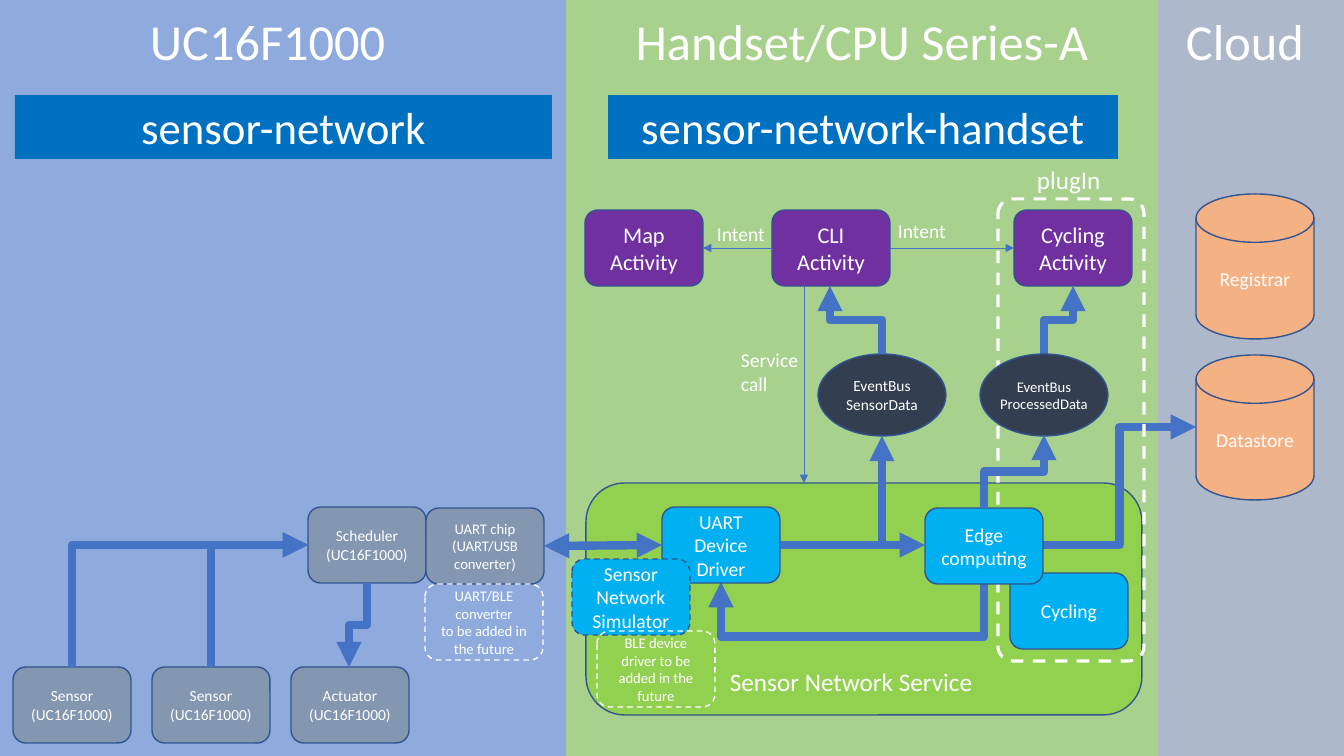
import pptx
import pptx.util
import pptx.dml.color
import pptx.enum.dml
import pptx.enum.shapes
import pptx.enum.text
import pptx.oxml
import pptx.oxml.ns

RGB = pptx.dml.color.RGBColor
WHITE = RGB(0xFF, 0xFF, 0xFF)
BLUE = RGB(0x8F, 0xAA, 0xDC)
GREEN = RGB(0xA9, 0xD1, 0x8E)
GREY = RGB(0xAD, 0xB9, 0xCA)
SLATE = RGB(0x84, 0x97, 0xB0)
LIME = RGB(0x92, 0xD0, 0x50)
SKY = RGB(0x00, 0xB0, 0xF0)
NAVY = RGB(0x33, 0x3F, 0x50)
PLUM = RGB(0x70, 0x30, 0xA0)
PEACH = RGB(0xF4, 0xB1, 0x83)
BAR = RGB(0x00, 0x70, 0xC0)
EDGE = RGB(0x32, 0x54, 0x91)
WIRE = RGB(0x44, 0x72, 0xC4)

FONT = "Calibri"
NODE = (118, 76)
DISK = (118, 145)
BUS = (128, 82)
THICK, THIN = 6, 0.5

KIND = pptx.enum.shapes.MSO_SHAPE
LINK = pptx.enum.shapes.MSO_CONNECTOR
DASH = pptx.enum.dml.MSO_LINE.DASH
ALIGN = pptx.enum.text.PP_ALIGN
ANCHOR = pptx.enum.text.MSO_ANCHOR
FIT = pptx.enum.text.MSO_AUTO_SIZE
qn = pptx.oxml.ns.qn


def emu(px):
    return round(px * 914400 / 100.8)


def add_xml(node, tag, **attrs):
    item = pptx.oxml.parse_xml(f"<a:{tag} {pptx.oxml.ns.nsdecls('a')}/>")
    for key, val in attrs.items():
        item.set(key, val)
    node.append(item)


def write(frame, text, size, align):
    for i, line in enumerate(text.split("\n")):
        para = frame.add_paragraph() if i else frame.paragraphs[0]
        para.alignment = align
        run = para.add_run()
        run.text = line
        run.font.name = FONT
        run.font.size = pptx.util.Pt(size)
        run.font.color.rgb = WHITE


class Pane:
    def __init__(self, slide, left, top, width, height):
        self.slide, self.shapes = slide, slide.shapes
        self.left, self.top = left, top
        self.size = (width, height)

    def place(self, x, y, size):
        return [emu(n) for n in (self.left + x, self.top + y, *size)]

    def shape(self, kind, x, y, size, fill=None, line=EDGE, weight=1,
              dash=False, text="", points=14, inset=None):
        item = self.shapes.add_shape(kind, *self.place(x, y, size))
        item.shadow.inherit = False
        if fill is None:
            item.fill.background()
        else:
            item.fill.solid()
            item.fill.fore_color.rgb = fill
        if line is None:
            item.line.fill.background()
        else:
            item.line.color.rgb = line
            item.line.width = pptx.util.Pt(weight)
            if dash:
                item.line.dash_style = DASH
        if text:
            frame = item.text_frame
            frame.word_wrap = True
            frame.vertical_anchor = ANCHOR.MIDDLE
            if inset is not None:
                frame.margin_left = frame.margin_right = inset
                frame.margin_top = frame.margin_bottom = inset
            write(frame, text, points, ALIGN.CENTER)
        return item

    def back(self, fill):
        self.shape(KIND.RECTANGLE, 0, 0, self.size, fill, None)

    def node(self, x, y, text, fill, points=14, **style):
        self.shape(KIND.ROUNDED_RECTANGLE, x, y, NODE, fill,
                   text=text, points=points, **style)

    def later(self, x, y, text):
        self.node(x, y, text, None, 10.5, line=WHITE, dash=True)

    def label(self, x, y, size, text, points, align=ALIGN.LEFT,
              wrap=True, fill=None):
        box = self.shapes.add_textbox(*self.place(x, y, size))
        if fill is not None:
            box.fill.solid()
            box.fill.fore_color.rgb = fill
        box.text_frame.word_wrap = wrap
        box.text_frame.auto_size = FIT.SHAPE_TO_FIT_TEXT
        write(box.text_frame, text, points, align)

    def bar(self, x, width, text):
        self.label(x, 95, (width, 64), text, 32, ALIGN.CENTER, fill=BAR)

    def title(self, x, y, size, text):
        item = self.shapes.title
        item.left, item.top, item.width, item.height = self.place(x, y, size)
        frame = item.text_frame
        frame.word_wrap = True
        frame.auto_size = FIT.NONE
        frame.vertical_anchor = ANCHOR.TOP
        write(frame, text, 36, ALIGN.CENTER)
        item.element.getparent().append(item.element)

    def link(self, start, end, weight=THICK, bends=0, upright=False,
             ratio=0.5, both=False):
        (x1, y1), (x2, y2) = start, end
        if upright:
            mid_x, mid_y = (x1 + x2) / 2, (y1 + y2) / 2
            half_x, half_y = (x2 - x1) / 2, (y2 - y1) / 2
            x1, y1 = mid_x - half_y, mid_y + half_x
            x2, y2 = mid_x + half_y, mid_y - half_x
        kind = LINK.ELBOW if bends else LINK.STRAIGHT
        ends = self.place(x1, y1, (self.left + x2, self.top + y2))
        wire = self.shapes.add_connector(kind, *ends)
        wire.line.color.rgb = WIRE
        wire.line.width = pptx.util.Pt(weight)
        props = wire.element.spPr
        if upright:
            props.find(qn("a:xfrm")).set("rot", "5400000")
        shape = props.find(qn("a:prstGeom"))
        if bends == 1:
            shape.set("prst", "bentConnector2")
        elif bends == 2:
            add_xml(shape.find(qn("a:avLst")), "gd", name="adj1",
                    fmla=f"val {round(ratio * 100000)}")
        ink = props.find(qn("a:ln"))
        if both:
            add_xml(ink, "headEnd", type="triangle")
        add_xml(ink, "tailEnd", type="triangle")
        add_xml(props, "effectLst")


def draw_chip(pane):
    pane.label(140, 5, (304, 72), "UC16F1000", 36)
    pane.bar(15, 537, "sensor-network")
    for i, name in enumerate(("Sensor", "Sensor", "Actuator")):
        pane.node(13 + 139 * i, 667, name + "\n(UC16F1000)", SLATE, 11)
    pane.node(308, 507, "Scheduler\n(UC16F1000)", SLATE, 11)
    for i in range(2):
        pane.link((72 + 139 * i, 667), (308, 545), bends=1, upright=True)
    pane.link((367, 583), (349, 667), bends=2, upright=True)
    pane.node(426, 508, "UART chip\n(UART/USB converter)", SLATE, 10.5)
    pane.later(425, 584, "UART/BLE converter\nto be added in the future")


def draw_phone(pane):
    pane.title(49, 5, (494, 72), "Handset/CPU Series-A")
    pane.bar(42, 510, "sensor-network-handset")
    pane.shape(KIND.ROUNDED_RECTANGLE, 20, 483, (556, 232), LIME)
    pane.link((418, 583), (155, 582), bends=2, upright=True, ratio=-54)
    pane.node(96, 507, "UART\nDevice\nDriver", SKY)
    pane.link((214, 545), (359, 545))
    pane.link((477, 545), (630, 427), bends=2)
    pane.label(154, 661, (265, 40), "Sensor Network Service", 18, wrap=False)
    pane.node(6, 559, "Sensor\nNetwork\nSimulator", SKY, dash=True)
    pane.label(165, 343, (80, 57), "Service call", 14)
    for x, y in ((141, 217), (322, 214)):
        pane.label(x, y, (80, 34), "Intent", 14)
    for x, name in ((19, "Map"), (206, "CLI"), (448, "Cycling")):
        pane.node(x, 210, name + "\nActivity", PLUM, 16)
    pane.link((206, 248), (137, 248), THIN)
    pane.link((324, 248), (448, 248), THIN)
    pane.link((238, 286), (238, 483), THIN)
    pane.link((-22, 546), (96, 545), both=True)
    pane.shape(KIND.OVAL, 252, 354, BUS, NAVY,
               text="EventBus\nSensorData", points=11, inset=0)
    pane.link((214, 545), (316, 436), bends=1)
    pane.link((316, 354), (264, 286), bends=2, upright=True)
    pane.link((478, 354), (507, 286), bends=2, upright=True)
    pane.node(444, 573, "Cycling", SKY)
    frame = pane.shape(KIND.ROUNDED_RECTANGLE, 432, 199, (146, 462),
                       line=WHITE, weight=2.25, dash=True)
    frame.adjustments[0] = 0.1
    pane.label(461, 159, (200, 40), "plugIn", 18)
    pane.shape(KIND.OVAL, 414, 354, BUS, NAVY,
               text="EventBus\nProcessedData", points=10.5, inset=0)
    pane.node(359, 508, "Edge computing", SKY)
    pane.link((418, 508), (478, 435), bends=2, upright=True)
    pane.later(31, 631, "BLE device driver to be added in the future")


def draw_cloud(pane):
    pane.label(19, 5, (159, 72), "Cloud", 36)
    for i, name in enumerate(("Registrar", "Datastore")):
        pane.shape(KIND.FLOWCHART_MAGNETIC_DISK, 39, 194 + 161 * i, DISK,
                   PEACH, text=name)


deck = pptx.Presentation()
deck.slide_width, deck.slide_height = emu(1344), emu(756)
slide = deck.slides.add_slide(deck.slide_layouts[5])
chip = Pane(slide, 0, 0, 566, 756)
phone = Pane(slide, 566, 0, 592, 756)
cloud = Pane(slide, 1157, 0, 187, 756)
cloud.back(GREY)
phone.back(GREEN)
chip.back(BLUE)
draw_chip(chip)
draw_phone(phone)
draw_cloud(cloud)
deck.save("out.pptx")
